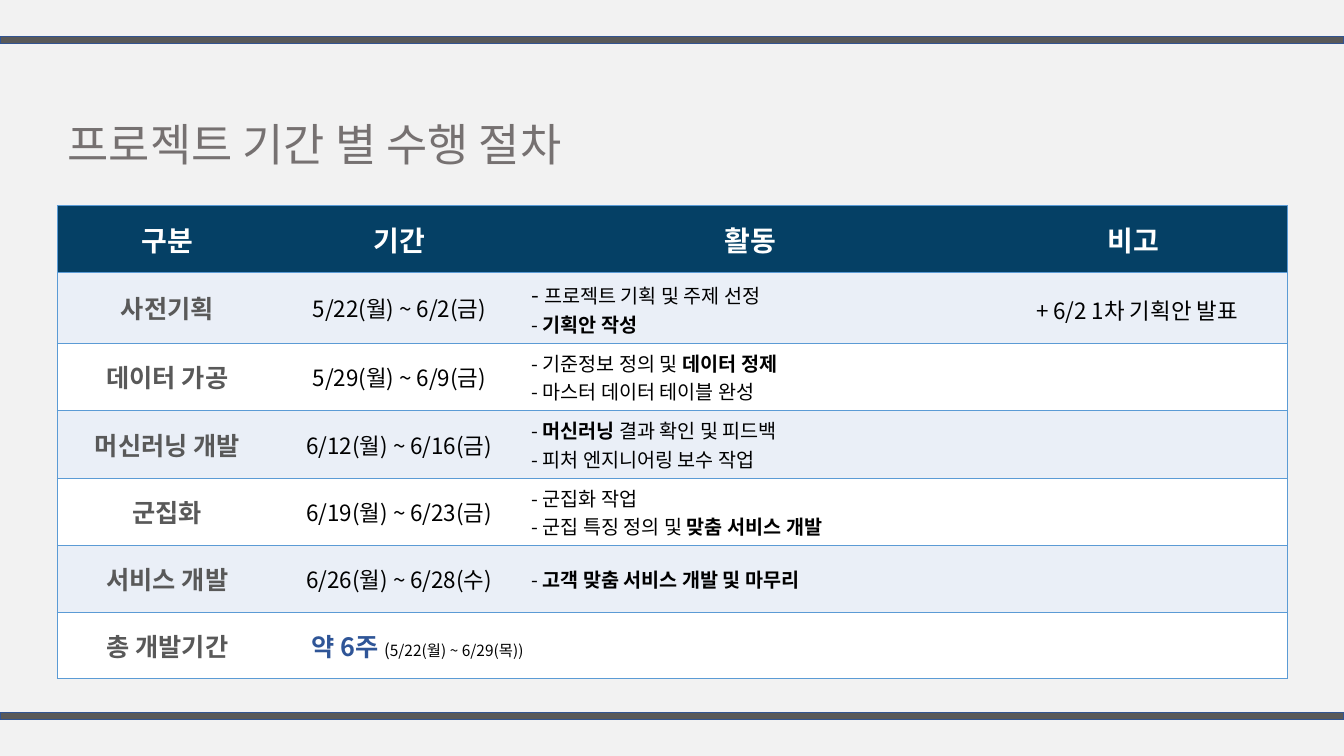
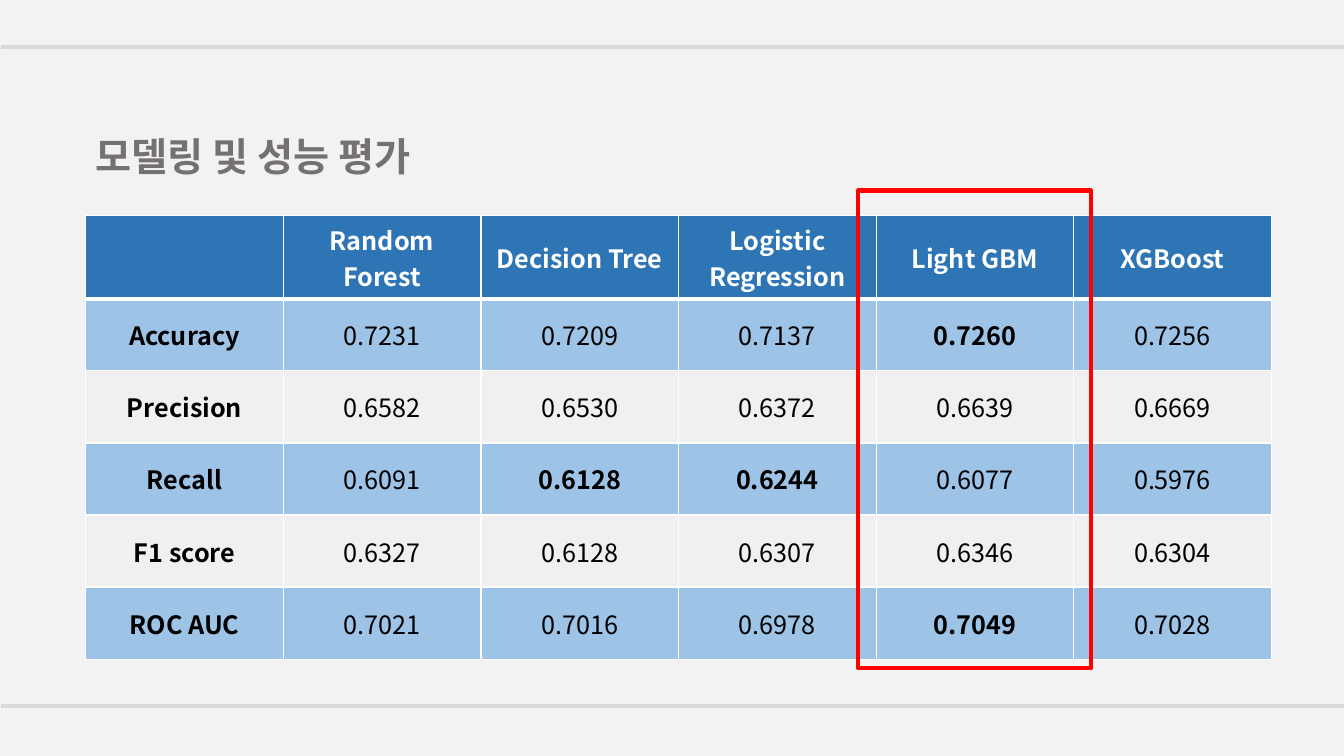
from dataclasses import dataclass
from typing import NamedTuple, Optional

from lxml import etree
from pptx import Presentation
from pptx.dml.color import RGBColor
from pptx.enum import dml, shapes, text
from pptx.oxml.ns import qn
from pptx.util import Inches, Pt

FONT = "Noto Sans CJK KR"
PAGE_GREY = RGBColor(0xF2, 0xF2, 0xF2)
TITLE_GREY = RGBColor(0x76, 0x71, 0x71)
DARK_GREY = RGBColor(0x59, 0x59, 0x59)
LIGHT_GREY = RGBColor(0xD9, 0xD9, 0xD9)
BAND_EDGE = RGBColor(0x32, 0x54, 0x91)
BLACK = RGBColor(0, 0, 0)
WHITE = RGBColor(0xFF, 0xFF, 0xFF)
NAVY = RGBColor(0x05, 0x40, 0x65)
RULE_BLUE = RGBColor(0x5B, 0x9B, 0xD5)
PALE_BLUE = RGBColor(0xEA, 0xEF, 0xF7)
ACCENT_BLUE = RGBColor(0x2F, 0x55, 0x97)
HEADER_BLUE = RGBColor(0x2E, 0x75, 0xB6)
SKY_BLUE = RGBColor(0x9D, 0xC3, 0xE6)
NEAR_WHITE = RGBColor(0xF0, 0xF0, 0xF0)
RED = RGBColor(0xFF, 0, 0)

SLIDE_WIDTH = 13.33
LEFT, CENTER = text.PP_ALIGN.LEFT, text.PP_ALIGN.CENTER


class Run(NamedTuple):
    text: str
    size: float
    bold: bool = False
    color: RGBColor = BLACK


class Box(NamedTuple):
    left: float
    top: float
    width: float
    height: float

    def lengths(self) -> tuple:
        return tuple(Inches(side) for side in self)


class Edge(NamedTuple):
    color: RGBColor
    points: float


@dataclass(frozen=True)
class BandStyle:
    tops: tuple
    height: float
    fill: RGBColor
    line: Edge
    dash: Optional[dml.MSO_LINE] = None


@dataclass(frozen=True)
class Phase:
    name: str
    period: str
    activities: tuple
    remark: tuple = ()


PLAN_BANDS = BandStyle((0.36, 7.07), 0.07, DARK_GREY, Edge(BAND_EDGE, 1))
SCORE_BANDS = BandStyle((0.44, 6.98), 0.05, LIGHT_GREY, Edge(PAGE_GREY, 0.25),
                        dml.MSO_LINE.ROUND_DOT)

PLAN_HEADINGS = ("구분", "기간", "활동", "비고")
PLAN_WIDTHS = (2.18, 2.42, 4.55, 3.05)
PHASES = (
    Phase("사전기획", "5/22(월) ~ 6/2(금)",
          ((Run("- ", 16), Run("프로젝트 기획 및 주제 선정", 14)),
           (Run("- ", 14), Run("기획안 작성", 14, True))),
          (Run(" ", 20), Run("+ 6/2 1차 기획안 발표", 16))),
    Phase("데이터 가공", "5/29(월) ~ 6/9(금)",
          ((Run("- 기준정보 정의 및 ", 14), Run("데이터 정제", 14, True)),
           (Run("- 마스터 데이터 테이블 완성", 14),))),
    Phase("머신러닝 개발", "6/12(월) ~ 6/16(금)",
          ((Run("- ", 14), Run("머신러닝", 14, True), Run(" 결과 확인 및 피드백", 14)),
           (Run("- 피처 엔지니어링 보수 작업", 14),))),
    Phase("군집화", "6/19(월) ~ 6/23(금)",
          ((Run("- 군집화 작업", 14),),
           (Run("- 군집 특징 정의 및 ", 14), Run("맞춤 서비스 개발", 14, True)))),
    Phase("서비스 개발", "6/26(월) ~ 6/28(수)",
          ((Run("- ", 14), Run("고객 맞춤 서비스 개발 및 마무리", 14, True)),)),
)
TOTAL_PERIOD = (Run("약 6주 ", 18, True, ACCENT_BLUE), Run("(", 12),
                Run("5/22(월) ~ 6/29(목))", 11))

MODELS = ("", "Random Forest", "Decision Tree", "Logistic Regression",
          "Light GBM", "XGBoost")
SCORES = (
    ("Accuracy", "0.7231", "0.7209", "0.7137", "0.7260", "0.7256"),
    ("Precision", "0.6582", "0.6530", "0.6372", "0.6639", "0.6669"),
    ("Recall", "0.6091", "0.6128", "0.6244", "0.6077", "0.5976"),
    ("F1 score", "0.6327", "0.6128", "0.6307", "0.6346", "0.6304"),
    ("ROC AUC", "0.7021", "0.7016", "0.6978", "0.7049", "0.7028"),
)
# Highlighted scores as (table row, table column)
BEST_SCORES = {(1, 4), (3, 2), (3, 3), (5, 4)}


# Shared text and slide parts
def write_paragraph(paragraph, runs: tuple, align: text.PP_ALIGN) -> None:
    paragraph.alignment = align
    for item in runs:
        run = paragraph.add_run()
        run.text = item.text
        font = run.font
        font.size, font.bold, font.name = Pt(item.size), item.bold, FONT
        font.color.rgb = item.color
        east_asian = etree.SubElement(run._r.get_or_add_rPr(), qn("a:ea"))
        east_asian.set("typeface", FONT)


def add_bands(slide, style: BandStyle) -> None:
    for top in style.tops:
        box = Box(0, top, SLIDE_WIDTH, style.height)
        band = slide.shapes.add_shape(shapes.MSO_SHAPE.RECTANGLE, *box.lengths())
        band.shadow.inherit = False
        band.fill.solid()
        band.fill.fore_color.rgb = style.fill
        band.line.color.rgb = style.line.color
        band.line.width = Pt(style.line.points)
        if style.dash is not None:
            band.line.dash_style = style.dash


def add_titled_slide(prs, title: Run, box: Box, bands: BandStyle):
    slide = prs.slides.add_slide(prs.slide_layouts[5])
    add_bands(slide, bands)
    heading = slide.shapes.title
    heading.left, heading.top, heading.width, heading.height = box.lengths()
    frame = heading.text_frame
    frame.word_wrap = True
    frame.auto_size = text.MSO_AUTO_SIZE.NONE
    frame.vertical_anchor = text.MSO_ANCHOR.BOTTOM
    frame.paragraphs[0].line_spacing = 0.9
    write_paragraph(frame.paragraphs[0], (title,), LEFT)
    return slide


# Shared table parts
def add_plain_table(slide, left: float, top: float, widths: tuple, heights: tuple):
    box = Box(left, top, sum(widths), sum(heights))
    table = slide.shapes.add_table(len(heights), len(widths), *box.lengths()).table
    table.first_row = table.horz_banding = False
    for column, width in zip(table.columns, widths):
        column.width = Inches(width)
    for row, height in zip(table.rows, heights):
        row.height = Inches(height)
    return table


def style_cell(cell, fill: RGBColor, left: Optional[Edge], right: Optional[Edge],
               top: Edge, bottom: Edge) -> None:
    properties = cell._tc.get_or_add_tcPr()
    for tag, edge in zip(("lnL", "lnR", "lnT", "lnB"), (left, right, top, bottom)):
        line = etree.SubElement(properties, qn(f"a:{tag}"))
        if edge is None:
            etree.SubElement(line, qn("a:noFill"))
            continue
        line.set("w", str(Pt(edge.points)))
        solid = etree.SubElement(line, qn("a:solidFill"))
        etree.SubElement(solid, qn("a:srgbClr")).set("val", str(edge.color))
    cell.fill.solid()
    cell.fill.fore_color.rgb = fill
    cell.vertical_anchor = text.MSO_ANCHOR.MIDDLE


def write_cell(cell, paragraphs: tuple, align: text.PP_ALIGN = CENTER) -> None:
    frame = cell.text_frame
    for index, runs in enumerate(paragraphs):
        paragraph = frame.add_paragraph() if index else frame.paragraphs[0]
        write_paragraph(paragraph, runs, align)


def row_fill(row: int, header: RGBColor, odd: RGBColor, even: RGBColor) -> RGBColor:
    if row == 0:
        return header
    return odd if row % 2 else even


# Slide 1: schedule
def build_plan(prs) -> None:
    title = Run("프로젝트 기간 별 수행 절차", 32, False, TITLE_GREY)
    slide = add_titled_slide(prs, title, Box(0.57, 1.03, 7.24, 0.72), PLAN_BANDS)
    heights = (0.66,) + (0.67,) * 4 + (0.66,) * 2
    table = add_plain_table(slide, 0.57, 2.04, PLAN_WIDTHS, heights)

    rule = Edge(RULE_BLUE, 1)
    last_column = len(PLAN_WIDTHS) - 1
    for row in range(len(heights)):
        for column in range(len(PLAN_WIDTHS)):
            style_cell(table.cell(row, column),
                       row_fill(row, NAVY, PALE_BLUE, WHITE),
                       rule if column == 0 else None,
                       rule if column == last_column else None, rule, rule)

    for column, heading in enumerate(PLAN_HEADINGS):
        write_cell(table.cell(0, column), ((Run(heading, 20, True, WHITE),),))
    for row, phase in enumerate(PHASES, start=1):
        write_cell(table.cell(row, 0), ((Run(phase.name, 18, True, DARK_GREY),),))
        write_cell(table.cell(row, 1), ((Run(phase.period, 16),),))
        write_cell(table.cell(row, 2), phase.activities, LEFT)
        write_cell(table.cell(row, 3), (phase.remark,))

    # Total duration spans the period and activity columns
    total_row = len(PHASES) + 1
    write_cell(table.cell(total_row, 0), ((Run("총 개발기간", 18, True, DARK_GREY),),))
    total = table.cell(total_row, 1)
    total.merge(table.cell(total_row, 2))
    total.margin_left = Inches(0.34)
    write_cell(total, (TOTAL_PERIOD,), LEFT)


# Slide 2: model scores
def build_scores(prs) -> None:
    title = Run("모델링 및 성능 평가", 28, True, TITLE_GREY)
    slide = add_titled_slide(prs, title, Box(0.85, 0.89, 9.03, 0.95), SCORE_BANDS)
    grid = (MODELS,) + SCORES
    table = add_plain_table(slide, 0.85, 2.14, (1.96,) * len(MODELS),
                            (0.715,) * len(grid))

    thin, thick = Edge(WHITE, 1), Edge(WHITE, 3)
    for row, values in enumerate(grid):
        for column, value in enumerate(values):
            cell = table.cell(row, column)
            style_cell(cell, row_fill(row, HEADER_BLUE, SKY_BLUE, NEAR_WHITE),
                       thin, thin, thick if row == 1 else thin,
                       thick if row == 0 else thin)
            bold = row == 0 or column == 0 or (row, column) in BEST_SCORES
            if value:
                color = BLACK if row else WHITE
                write_cell(cell, ((Run(value, 18, bold, color),),))

    # Frame around the chosen model
    frame = slide.shapes.add_shape(shapes.MSO_SHAPE.RECTANGLE,
                                   *Box(8.51, 1.89, 2.31, 4.74).lengths())
    frame.shadow.inherit = False
    frame.fill.background()
    frame.line.color.rgb = RED
    frame.line.width = Pt(3)


def main() -> None:
    prs = Presentation()
    prs.slide_width, prs.slide_height = Inches(SLIDE_WIDTH), Inches(7.5)
    background = prs.slide_master.background.fill
    background.solid()
    background.fore_color.rgb = PAGE_GREY
    build_plan(prs)
    build_scores(prs)
    prs.save("out.pptx")


if __name__ == "__main__":
    main()
